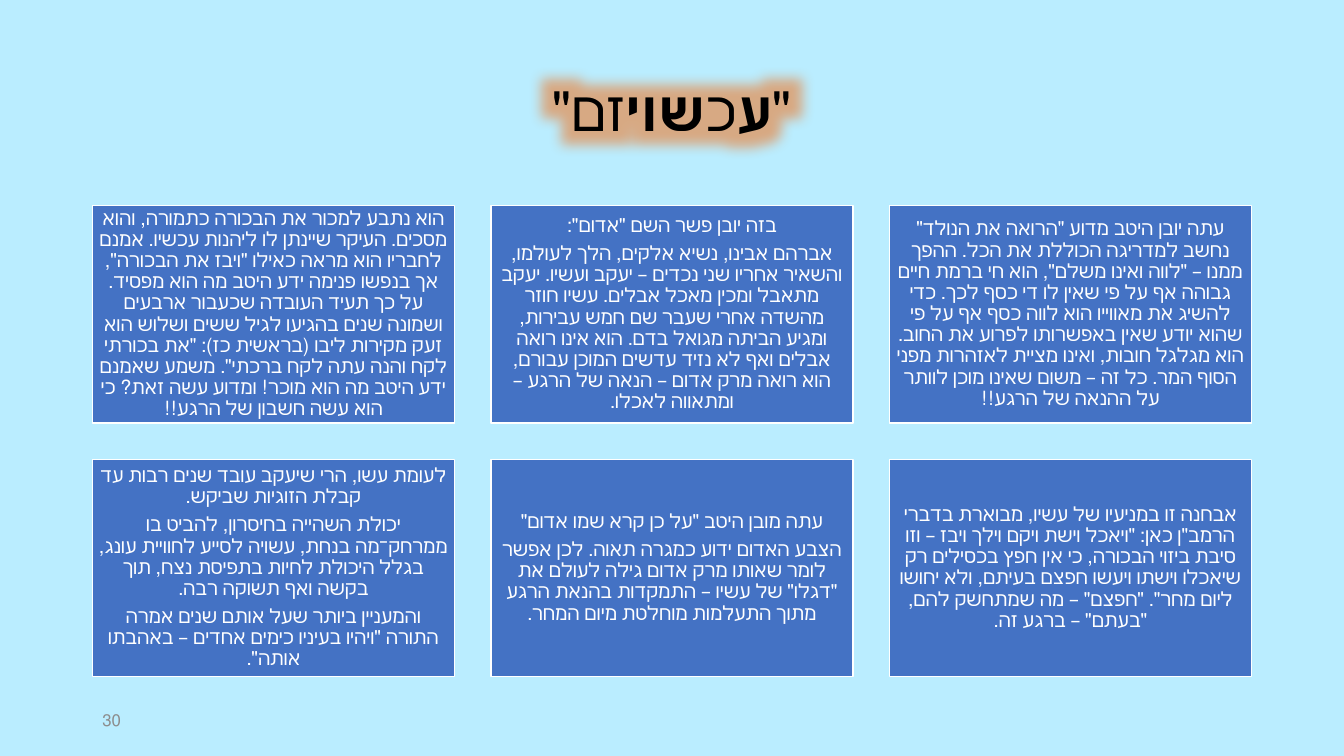
from lxml import etree
from pptx import Presentation
from pptx.dml.color import RGBColor
from pptx.enum.shapes import MSO_SHAPE
from pptx.enum.text import MSO_ANCHOR, PP_ALIGN
from pptx.oxml.ns import qn
from pptx.util import Pt

RECTANGLE = MSO_SHAPE.RECTANGLE
MIDDLE = MSO_ANCHOR.MIDDLE
CENTER, LEFT = PP_ALIGN.CENTER, PP_ALIGN.LEFT
FONT = "Calibri"

TITLE = [('"', False), ("ע", True), ("כ", False), ("שוי", True), ('זם"', False)]

# Two rows of cards, each listed from right to left
CARDS = [
    [
        ['עתה יובן היטב מדוע "הרואה את הנולד" נחשב למדריגה הכוללת את הכל. ההפך ממנו – "לווה ואינו משלם", הוא חי ברמת חיים גבוהה אף על פי שאין לו די כסף לכך. כדי להשיג את מאווייו הוא לווה כסף אף על פי שהוא יודע שאין באפשרותו לפרוע את החוב. הוא מגלגל חובות, ואינו מציית לאזהרות מפני הסוף המר. כל זה – משום שאינו מוכן לוותר על ההנאה של הרגע!!'],
        ['בזה יובן פשר השם "אדום":',
         'אברהם אבינו, נשיא אלקים, הלך לעולמו, והשאיר אחריו שני נכדים – יעקב ועשיו. יעקב מתאבל ומכין מאכל אבלים. עשיו חוזר מהשדה אחרי שעבר שם חמש עבירות, ומגיע הביתה מגואל בדם. הוא אינו רואה אבלים ואף לא נזיד עדשים המוכן עבורם, הוא רואה מרק אדום – הנאה של הרגע – ומתאווה לאכלו.'],
        ['הוא נתבע למכור את הבכורה כתמורה, והוא מסכים. העיקר שיינתן לו ליהנות עכשיו. אמנם לחבריו הוא מראה כאילו "ויבז את הבכורה", אך בנפשו פנימה ידע היטב מה הוא מפסיד. על כך תעיד העובדה שכעבור ארבעים ושמונה שנים בהגיעו לגיל ששים ושלוש הוא זעק מקירות ליבו (בראשית כז): "את בכורתי לקח והנה עתה לקח ברכתי". משמע שאמנם ידע היטב מה הוא מוכר! ומדוע עשה זאת? כי הוא עשה חשבון של הרגע!!'],
    ],
    [
        ['אבחנה זו במניעיו של עשיו, מבוארת בדברי הרמב"ן כאן: "ויאכל וישת ויקם וילך ויבז – וזו סיבת ביזוי הבכורה, כי אין חפץ בכסילים רק שיאכלו וישתו ויעשו חפצם בעיתם, ולא יחושו ליום מחר". "חפצם" – מה שמתחשק להם, "בעתם" – ברגע זה.'],
        ['עתה מובן היטב "על כן קרא שמו אדום"',
         'הצבע האדום ידוע כמגרה תאוה. לכן אפשר לומר שאותו מרק אדום גילה לעולם את "דגלו" של עשיו – התמקדות בהנאת הרגע מתוך התעלמות מוחלטת מיום המחר.'],
        ['לעומת עשו, הרי שיעקב עובד שנים רבות עד קבלת הזוגיות שביקש.',
         'יכולת השהייה בחיסרון, להביט בו ממרחק־מה בנחת, עשויה לסייע לחוויית עונג, בגלל היכולת לחיות בתפיסת נצח, תוך בקשה ואף תשוקה רבה.',
         'והמעניין ביותר שעל אותם שנים אמרה התורה "ויהיו בעיניו כימים אחדים – באהבתו אותה".'],
    ],
]


def color(hex_text):
    return RGBColor.from_string(hex_text)


def style_paragraph(para, size, hex_text, align=CENTER):
    """Set right-to-left flow, font and line spacing."""
    para.alignment = align
    para.line_spacing = 0.9
    para._p.get_or_add_pPr().set("rtl", "1")
    font = para.font
    font.size, font.name = Pt(size), FONT
    font.color.rgb = color(hex_text)


def add_glow(span, radius, hex_text, opacity):
    effects = etree.SubElement(span.font._element, qn("a:effectLst"))
    glow = etree.SubElement(effects, qn("a:glow"), rad=str(Pt(radius)))
    tint = etree.SubElement(glow, qn("a:srgbClr"), val=hex_text)
    etree.SubElement(tint, qn("a:alpha"), val=str(opacity * 1000))


def add_text_frame(page, left, top, width, height):
    box = page.shapes.add_textbox(Pt(left), Pt(top), Pt(width), Pt(height))
    frame = box.text_frame
    frame.word_wrap = True
    frame.vertical_anchor = MIDDLE
    return frame


def add_title(page, left, top, width, height):
    para = add_text_frame(page, left, top, width, height).paragraphs[0]
    style_paragraph(para, 40, "000000")
    for text, bold in TITLE:
        span = para.add_run()
        span.text = text
        span.font.bold = bold
        add_glow(span, 45, "ED7D31", 60)


def add_card(page, left, top, width, height, texts):
    card = page.shapes.add_shape(RECTANGLE, Pt(left), Pt(top), Pt(width), Pt(height))
    card.shadow.inherit = False
    card.fill.solid()
    card.fill.fore_color.rgb = color("4472C4")
    card.line.color.rgb = color("FFFFFF")
    card.line.width = Pt(1)
    frame = card.text_frame
    frame.word_wrap = True
    frame.vertical_anchor = MIDDLE
    frame.margin_left = frame.margin_right = Pt(4.2)
    frame.margin_top = frame.margin_bottom = Pt(4.2)
    for index, text in enumerate(texts):
        para = frame.add_paragraph() if index else frame.paragraphs[0]
        para.text = text
        para.space_after = Pt(4.9)
        style_paragraph(para, 14, "FFFFFF")


def add_card_grid(page, left, top, width, height):
    gap = 25.9
    rows, columns = len(CARDS), len(CARDS[0])
    card_width = (width - gap * (columns - 1)) / columns
    card_height = (height - gap * (rows - 1)) / rows
    for row, cards in enumerate(CARDS):
        for column, texts in enumerate(reversed(cards)):
            add_card(page, left + column * (card_width + gap),
                     top + row * (card_height + gap),
                     card_width, card_height, texts)


def add_page_number(page, left, top, width, height):
    para = add_text_frame(page, left, top, width, height).paragraphs[0]
    para.text = "30"
    style_paragraph(para, 12, "8C8C8C", LEFT)


def main():
    deck = Presentation()
    deck.slide_width, deck.slide_height = Pt(960), Pt(540)
    page = deck.slides.add_slide(deck.slide_layouts[6])
    page.background.fill.solid()
    page.background.fill.fore_color.rgb = color("BAEDFF")
    add_title(page, 66, 28.75, 828, 104.4)
    add_card_grid(page, 66, 146.8, 828, 336.6)
    add_page_number(page, 66, 500.5, 216, 28.75)
    deck.save("out.pptx")


if __name__ == "__main__":
    main()
